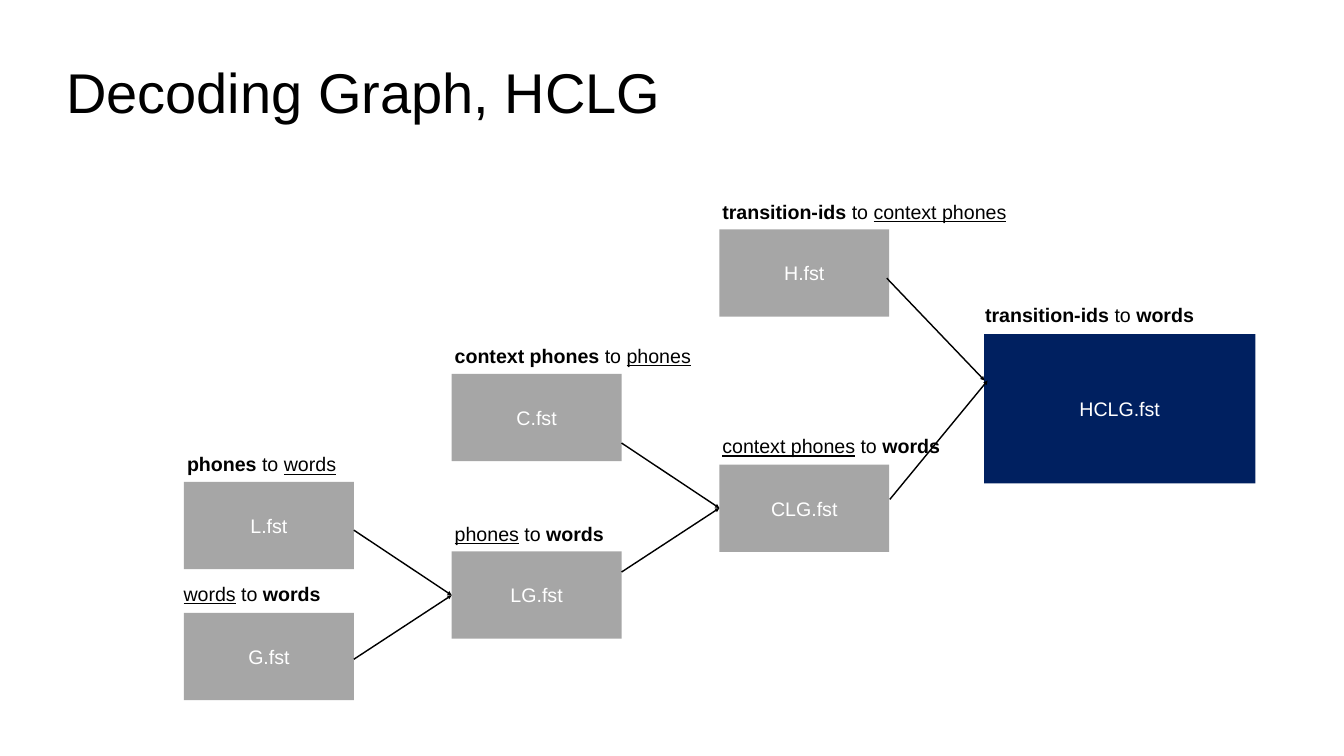
from typing import NamedTuple

from lxml.etree import SubElement
from pptx import Presentation
from pptx.dml.color import RGBColor as Rgb
from pptx.enum.shapes import MSO_CONNECTOR as Conn, MSO_SHAPE as Form
from pptx.enum.text import MSO_ANCHOR as Anchor, MSO_AUTO_SIZE as Fit, PP_ALIGN as Align
from pptx.oxml.ns import qn
from pptx.util import Pt

INK = {"text": "000000", "part": "A6A6A6", "full": "002060", "pale": "FFFFFF"}
FONT = "Arial"
COLS = [262.8 + 382.3 * n for n in range(3)]
WIDE, HIGH = 242.6, 124.6


class Run(NamedTuple):
    text: str
    style: str = ""


class Tag(NamedTuple):
    x: float
    y: float
    w: float
    runs: list[Run]


class Node(NamedTuple):
    name: str
    x: float
    y: float
    tag: Tag
    w: float = WIDE
    h: float = HIGH
    fill: str = "part"


class Link(NamedTuple):
    x1: float
    y1: float
    x2: float
    y2: float


TO = Run(" to ")

NODES = [
    Node("L.fst", COLS[0], 688.3,
         Tag(COLS[0], 636.5, 288.7, [Run("phones", "b"), TO, Run("words", "u")])),
    Node("G.fst", COLS[0], 875.5,
         Tag(257.8, 820.8, 275.8, [Run("words", "u"), TO, Run("words", "b")])),
    Node("LG.fst", COLS[1], 787.7,
         Tag(COLS[1], 735.8, 292.3, [Run("phones", "u"), TO, Run("words", "b")])),
    Node("C.fst", COLS[1], 534.2,
         Tag(COLS[1], 481, 424, [Run("context phones", "b"), TO, Run("phones", "u")])),
    Node("CLG.fst", COLS[2], 663.8,
         Tag(COLS[2], 610.6, 403.2, [Run("context phones", "u"), TO, Run("words", "b")])),
    Node("H.fst", COLS[2], 327.6,
         Tag(COLS[2], 275.8, 499, [Run("transition-ids", "b"), TO, Run("context phones", "u")])),
    Node("HCLG.fst", 1405.4, 477.4,
         Tag(1402.6, 423.4, 356.4, [Run("transition-ids", "b"), TO, Run("words", "b")]),
         387.4, 213.1, "full"),
]

LINKS = [
    Link(COLS[0] + WIDE, 757.4, COLS[1], 850.3),
    Link(COLS[0] + WIDE, 941.8, COLS[1], 850.3),
    Link(COLS[1] + WIDE, 632.9, COLS[2], 725.8),
    Link(COLS[1] + WIDE, 817.2, COLS[2], 725.8),
    Link(1266.5, 397.4, 1406.2, 543.6),
    Link(1270.8, 713.5, 1410.5, 543.6),
]


def paint(tint: str) -> Rgb:
    return Rgb.from_string(INK[tint])


def write(frame, runs: list[Run], size: float, tint: str, pad: float,
          align=Align.LEFT, space: float = 1.0) -> None:
    frame.word_wrap = True
    frame.auto_size = Fit.NONE
    frame.vertical_anchor = Anchor.MIDDLE
    frame.margin_left = frame.margin_right = Pt(pad)
    frame.margin_top = frame.margin_bottom = Pt(pad)
    para = frame.paragraphs[0]
    para.alignment = align
    para.line_spacing = space
    for part in runs:
        run = para.add_run()
        run.text = part.text
        font = run.font
        font.name, font.size = FONT, Pt(size)
        font.color.rgb = paint(tint)
        font.bold = part.style == "b"
        font.underline = part.style == "u"


def draw_node(slide, node: Node) -> None:
    box = slide.shapes.add_shape(Form.RECTANGLE, Pt(node.x), Pt(node.y), Pt(node.w), Pt(node.h))
    box.shadow.inherit = False
    box.fill.solid()
    box.fill.fore_color.rgb = paint(node.fill)
    box.line.fill.background()
    write(box.text_frame, [Run(node.name)], 28, "pale", 4.3, Align.CENTER)


def draw_tag(slide, tag: Tag) -> None:
    box = slide.shapes.add_textbox(Pt(tag.x), Pt(tag.y), Pt(tag.w), Pt(47.5))
    write(box.text_frame, tag.runs, 28, "text", 4.3, space=1.17)


def draw_link(slide, link: Link) -> None:
    line = slide.shapes.add_connector(Conn.STRAIGHT, *(Pt(v) for v in link))
    line.line.color.rgb = paint("text")
    line.line.width = Pt(2)
    SubElement(line.line._get_or_add_ln(), qn("a:tailEnd"), type="triangle")
    SubElement(line._element.spPr, qn("a:effectLst"))


def main() -> None:
    deck = Presentation()
    deck.slide_width, deck.slide_height = Pt(1919.5), Pt(1080)
    slide = deck.slides.add_slide(deck.slide_layouts[5])
    title = slide.shapes.title
    title.left, title.top = Pt(88.6), Pt(56.9)
    title.width, title.height = Pt(938.9), Pt(146.9)
    write(title.text_frame, [Run("Decoding Graph, HCLG")], 80, "text", 5.8)
    for node in NODES:
        draw_node(slide, node)
    for node in NODES:
        draw_tag(slide, node.tag)
    for link in LINKS:
        draw_link(slide, link)
    deck.save("out.pptx")


if __name__ == "__main__":
    main()
